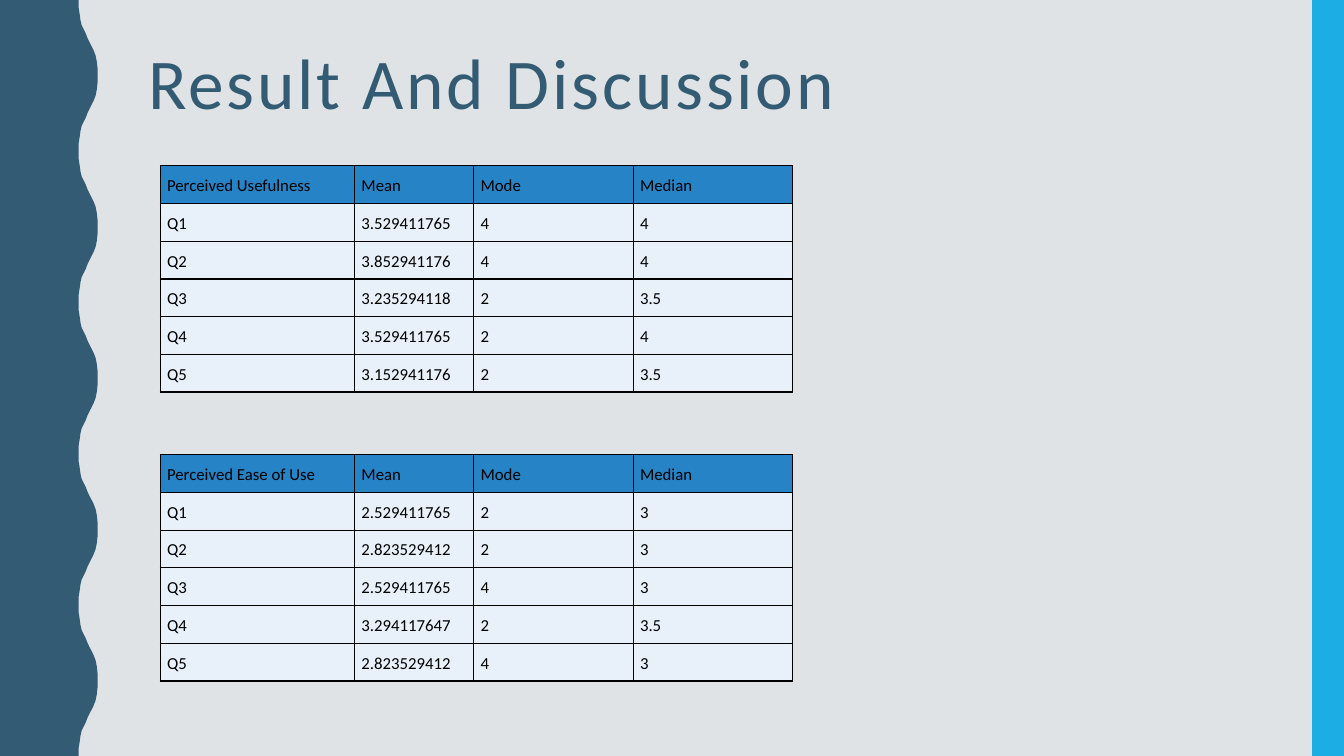
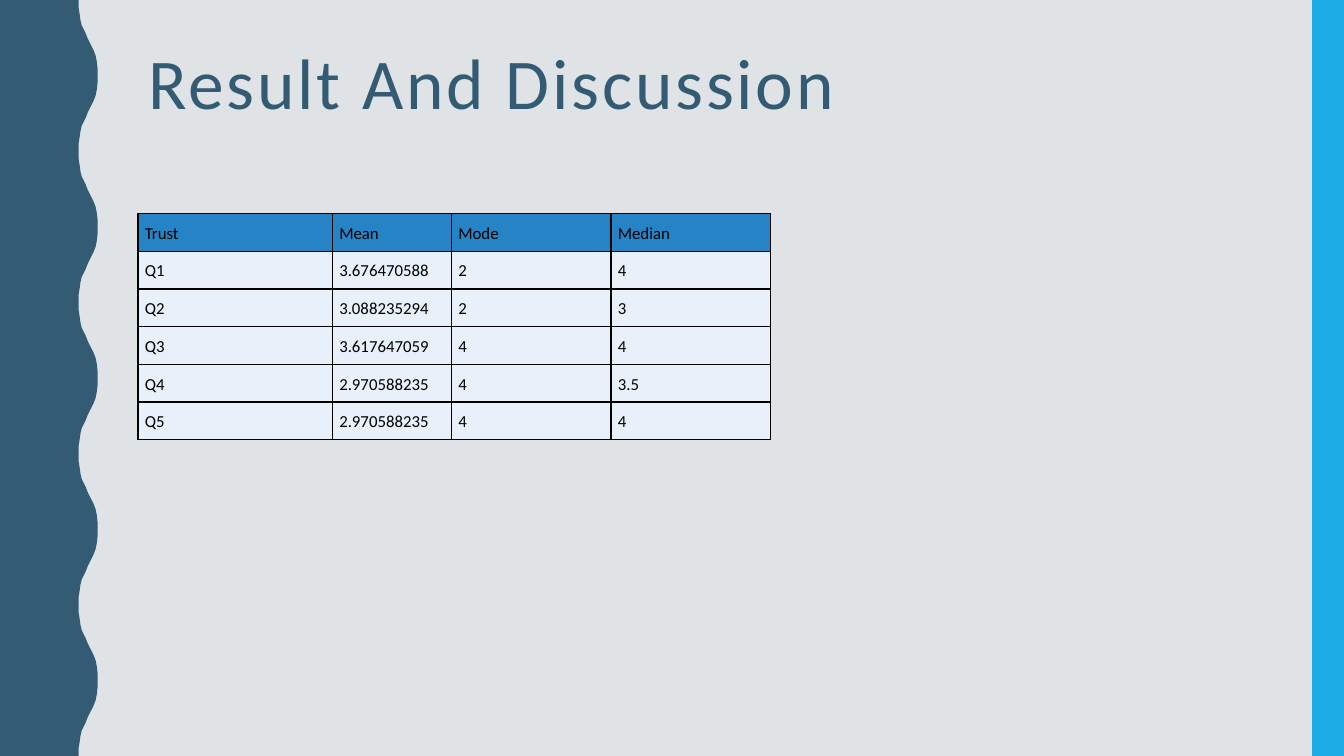
from pptx import Presentation
from pptx.dml.color import RGBColor
from pptx.enum.shapes import MSO_SHAPE
from pptx.enum.text import MSO_ANCHOR, PP_ALIGN
from pptx.oxml import parse_xml
from pptx.oxml.ns import nsdecls
from pptx.util import Cm, Pt

WIDTH, HEIGHT = 33.87, 19.05
FONT = "Calibri"
BACKGROUND, NAVY, CYAN = "DFE3E5", "335B74", "1CADE4"
HEADER, BODY, BLACK = "2683C6", "E8F1FA", "000000"
TITLE = "Result And Discussion"

# Rising half of one wave: (depth, reach) in cm; the other half mirrors it.
WAVE_PERIOD, WAVE_COUNT = 3.81, 5
WAVE_HALF = [(0, 1.98), (0.18, 1.98), (0.36, 2.01), (0.51, 2.03), (0.64, 2.06),
             (0.74, 2.11), (0.84, 2.16), (0.97, 2.21), (1.07, 2.26), (1.17, 2.31),
             (1.27, 2.36), (1.4, 2.41), (1.55, 2.44), (1.73, 2.46)]

COLUMN_WIDTHS = [4.9, 3, 4.02, 4.02]
ROW_HEIGHT = 0.95
STATISTICS = ["Mean", "Mode", "Median"]

USEFULNESS = [("3.529411765", "4", "4"), ("3.852941176", "4", "4"),
              ("3.235294118", "2", "3.5"), ("3.529411765", "2", "4"),
              ("3.152941176", "2", "3.5")]
EASE_OF_USE = [("2.529411765", "2", "3"), ("2.823529412", "2", "3"),
               ("2.529411765", "4", "3"), ("3.294117647", "2", "3.5"),
               ("2.823529412", "4", "3")]
TRUST = [("3.676470588", "2", "4"), ("3.088235294", "2", "3"),
         ("3.617647059", "4", "4"), ("2.970588235", "4", "3.5"),
         ("2.970588235", "4", "4")]


def rgb(code):
    """Turn a hex string into a colour."""
    return RGBColor.from_string(code)


def paint(fill, code):
    """Make a fill solid in the given colour."""
    fill.solid()
    fill.fore_color.rgb = rgb(code)


class Deck:
    """Holds the style, the presentation and the current slide."""

    def __init__(self):
        """Set the slide size and choose the title-only layout."""
        self.prs = Presentation()
        self.prs.slide_width, self.prs.slide_height = Cm(WIDTH), Cm(HEIGHT)
        self.layout = self.prs.slide_layouts[5]
        paint(self.layout.background.fill, BACKGROUND)
        self.decorated = False
        self.s = None

    def slide(self, title):
        """Start a slide; the first one also gives the layout its bands."""
        self.s = self.prs.slides.add_slide(self.layout)
        if not self.decorated:
            self.to_layout([self.wave(), self.band()])
            self.decorated = True
        self.title(title)

    def to_layout(self, shapes):
        """Move shapes from the slide to the back of the layout."""
        tree = self.layout.shapes.element
        for i, sp in enumerate(shapes):
            tree.insert(2 + i, sp.element)

    def flat(self, sp, code):
        """Give a shape a plain fill without line or shadow."""
        paint(sp.fill, code)
        sp.line.fill.background()
        sp.shadow.inherit = False
        return sp

    def wave(self):
        """Draw the wavy band on the left edge."""
        falling = [(WAVE_PERIOD - y, x) for y, x in reversed(WAVE_HALF)]
        points = [(x, i * WAVE_PERIOD + y) for i in range(WAVE_COUNT)
                  for y, x in WAVE_HALF + falling]
        points.append((0, HEIGHT))
        outline = self.s.shapes.build_freeform(0, 0)
        outline.add_line_segments([(Cm(x), Cm(y)) for x, y in points])
        return self.flat(outline.convert_to_shape(), NAVY)

    def band(self):
        """Draw the straight band on the right edge."""
        sp = self.s.shapes.add_shape(MSO_SHAPE.RECTANGLE, Cm(33.07), 0,
                                     Cm(WIDTH - 33.07), Cm(HEIGHT))
        return self.flat(sp, CYAN)

    def add_text(self, p, text, size, code, spacing):
        """Add one formatted run to a left-aligned paragraph."""
        p.alignment = PP_ALIGN.LEFT
        p.line_spacing = spacing
        r = p.add_run()
        r.text = text
        r.font.name, r.font.size, r.font.bold = FONT, Pt(size), False
        r.font.color.rgb = rgb(code)
        return r

    def title(self, text):
        """Place and fill the title placeholder."""
        sp = self.s.shapes.title
        sp.left, sp.top, sp.width, sp.height = Cm(3.48), Cm(1.07), Cm(28.27), Cm(4.14)
        tf = sp.text_frame
        tf.word_wrap = True
        tf.vertical_anchor = MSO_ANCHOR.TOP
        r = self.add_text(tf.paragraphs[0], text, 51, NAVY, 0.9)
        r._r.get_or_add_rPr().set("spc", "200")

    def cell(self, cell, text, code):
        """Fill, border and label one table cell."""
        cell.margin_left = cell.margin_right = Cm(0.17)
        cell.margin_top = cell.margin_bottom = Cm(0.17)
        paint(cell.fill, code)
        props = cell._tc.get_or_add_tcPr()
        for i, side in enumerate("LRTB"):
            props.insert(i, parse_xml(
                f'<a:ln{side} {nsdecls("a")} w="{Pt(1)}"><a:solidFill>'
                f'<a:srgbClr val="{BLACK}"/></a:solidFill></a:ln{side}>'))
        self.add_text(cell.text_frame.paragraphs[0], text, 12, BLACK, 1.15)

    def table(self, left, top, topic, answers):
        """Add a table of statistics, one row per question."""
        rows = [[topic, *STATISTICS]]
        rows += [[f"Q{n}", *values] for n, values in enumerate(answers, 1)]
        frame = self.s.shapes.add_table(
            len(rows), len(COLUMN_WIDTHS), Cm(left), Cm(top),
            Cm(sum(COLUMN_WIDTHS)), Cm(ROW_HEIGHT * len(rows)))
        table = frame.table
        table.first_row = table.horz_banding = False
        for column, width in zip(table.columns, COLUMN_WIDTHS):
            column.width = Cm(width)
        for i, row in enumerate(rows):
            table.rows[i].height = Cm(ROW_HEIGHT)
            for j, text in enumerate(row):
                self.cell(table.cell(i, j), text, BODY if i else HEADER)


def main():
    """Build both slides and save them."""
    deck = Deck()
    deck.slide(TITLE)
    deck.table(4.04, 4.18, "Perceived Usefulness", USEFULNESS)
    deck.table(4.04, 11.46, "Perceived Ease of Use", EASE_OF_USE)
    deck.slide(TITLE)
    deck.table(3.48, 5.38, "Trust", TRUST)
    deck.prs.save("out.pptx")


main()
